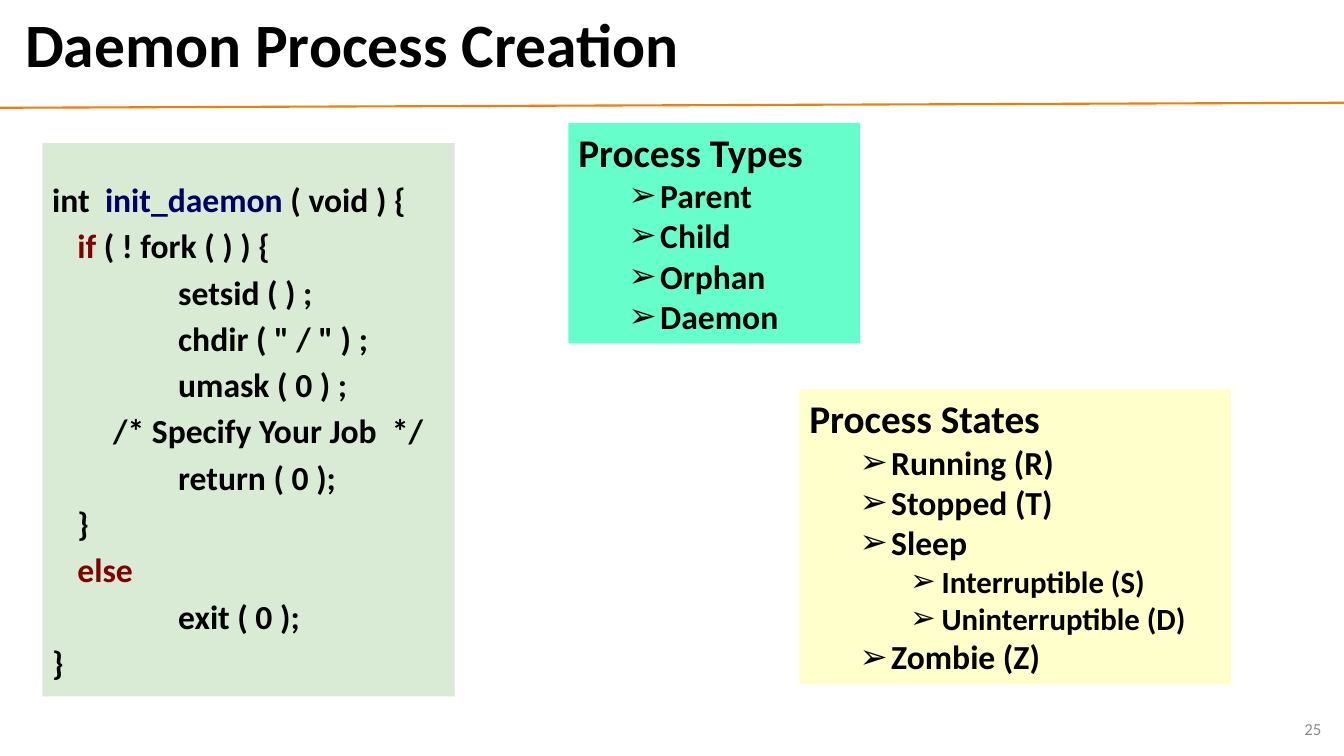
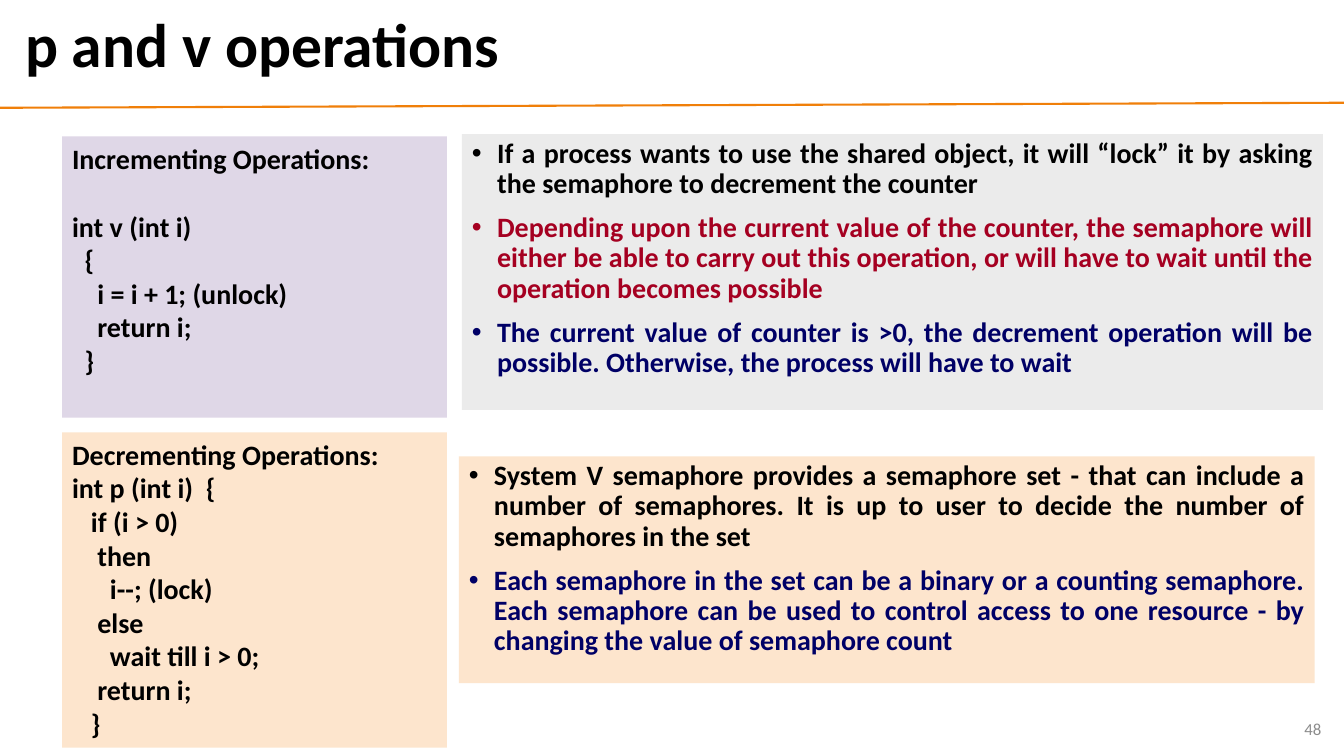
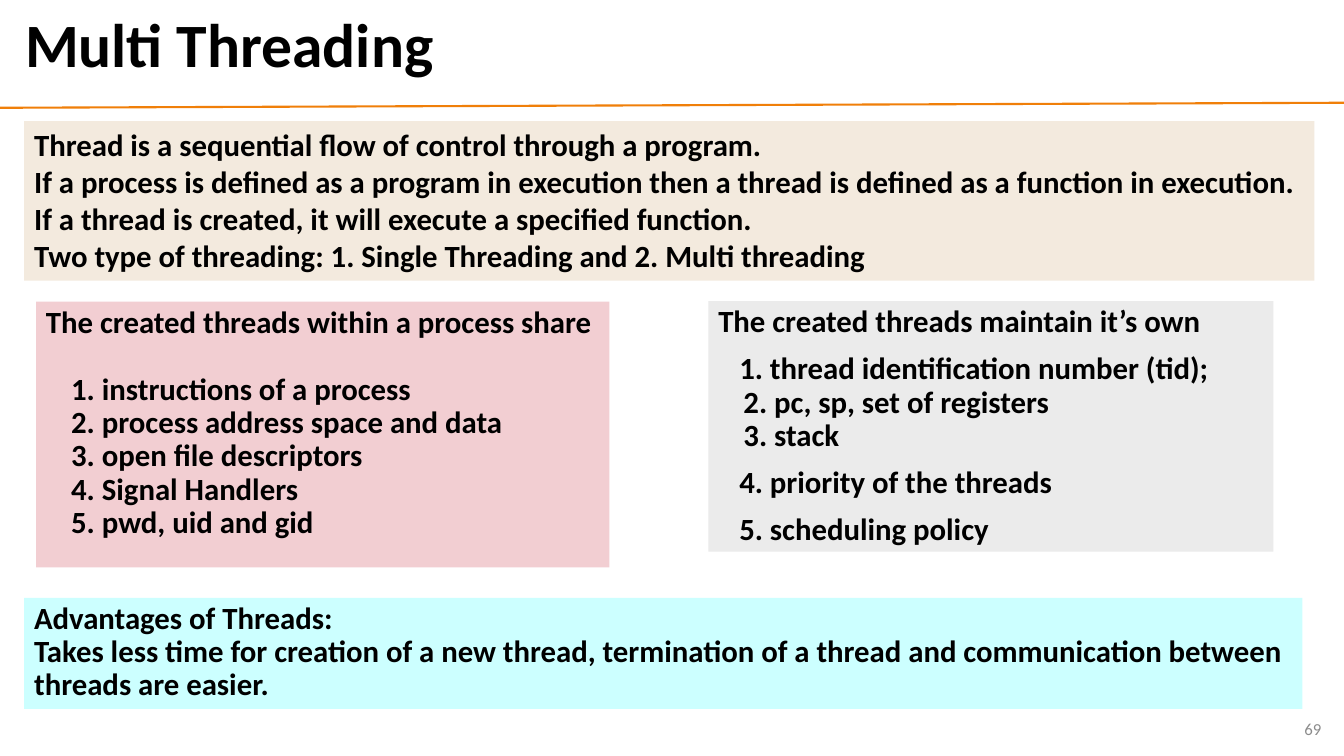
from dataclasses import dataclass
from functools import partial

from lxml.etree import SubElement
from pptx import Presentation
from pptx.dml.color import RGBColor as RGB
from pptx.enum.shapes import MSO_CONNECTOR as CONN, MSO_SHAPE as SHAPE
from pptx.enum.text import MSO_ANCHOR as ANCHOR, PP_ALIGN as ALIGN
from pptx.oxml.ns import qn
from pptx.util import Pt


# Theme: colours and type sizes
@dataclass(frozen=True)
class Theme:
    font: str = "Calibri"
    black: str = "000000"
    navy: str = "000066"
    maroon: str = "800000"
    crimson: str = "A50021"
    orange: str = "F07F09"
    number: str = "8C8C8C"
    green: str = "D9EAD5"
    mint: str = "66FFCC"
    yellow: str = "FFFFCC"
    lilac: str = "DFD7E7"
    gray: str = "EBEBEB"
    peach: str = "FDE5CD"
    sand: str = "F3EADE"
    pink: str = "F2CED2"
    cyan: str = "CCFFFF"
    title_size: int = 44
    heading_size: int = 28
    large: int = 24
    medium: int = 22
    small: int = 20
    number_size: int = 12


T = Theme()


@dataclass
class Para:
    """One paragraph; text is a string or a list of (text, colour) runs."""
    text: object
    size: float
    color: str = T.black
    bold: bool = True
    level: int = 0
    left: float = 0
    hang: float = 0
    bullet: str = ""
    before: float = 0
    after: float = 0
    spacing: float = 1.0
    align: object = ALIGN.LEFT


class Deck:
    def __init__(self, theme):
        self.theme = theme
        self.prs = Presentation()
        self.prs.slide_width, self.prs.slide_height = Pt(960), Pt(540)
        self.slide = None

    # Shared frame: rule, title and page number
    def new_slide(self, title, number):
        t = self.theme
        self.slide = self.prs.slides.add_slide(self.prs.slide_layouts[6])
        self.rule(0, 77, 960, 73.4)
        self.label((10.8, 3.6, 928, 60),
                   Para(title, t.title_size, spacing=0.9))
        self.label((735, 506, 216, 29),
                   Para(str(number), t.number_size, t.number, bold=False,
                        align=ALIGN.RIGHT))

    def rule(self, x1, y1, x2, y2):
        ln = self.slide.shapes.add_connector(
            CONN.STRAIGHT, Pt(x1), Pt(y1), Pt(x2), Pt(y2))
        ln.line.color.rgb = RGB.from_string(self.theme.orange)
        ln.line.width = Pt(1.5)
        SubElement(ln._element.spPr, qn("a:effectLst"))

    def label(self, at, para):
        sp = self.slide.shapes.add_textbox(*map(Pt, at))
        self.add_paras(sp.text_frame, [para], ANCHOR.MIDDLE)

    def box(self, at, fill, paras, top=3.6):
        sp = self.slide.shapes.add_shape(SHAPE.RECTANGLE, *map(Pt, at))
        sp.shadow.inherit = False
        sp.fill.solid()
        sp.fill.fore_color.rgb = RGB.from_string(fill)
        sp.line.fill.background()
        sp.text_frame.margin_top = Pt(top)
        self.add_paras(sp.text_frame, paras, ANCHOR.TOP)

    # Text
    def add_paras(self, tf, paras, anchor):
        tf.word_wrap = True
        tf.vertical_anchor = anchor
        for i, para in enumerate(paras):
            p = tf.add_paragraph() if i else tf.paragraphs[0]
            self.style_para(p, para, para.before if i else 0)
            runs = para.text
            if isinstance(runs, str):
                runs = [(runs, para.color)]
            for text, color in runs:
                r = p.add_run()
                r.text = text
                r.font.name = self.theme.font
                r.font.size = Pt(para.size)
                r.font.bold = para.bold
                r.font.color.rgb = RGB.from_string(color)

    def style_para(self, p, para, before):
        pPr = p._p.get_or_add_pPr()
        pPr.set("marL", str(Pt(para.left)))
        pPr.set("indent", str(Pt(-para.hang)))
        if para.bullet:
            SubElement(pPr, qn("a:buFont"), typeface="Arial")
            SubElement(pPr, qn("a:buChar"), char=para.bullet)
        else:
            SubElement(pPr, qn("a:buNone"))
        p.level = para.level
        p.alignment = para.align
        p.line_spacing = para.spacing
        p.space_before = Pt(before)
        p.space_after = Pt(para.after)


def outline(heading, items):
    """Heading followed by arrow bullets given as (level, text)."""
    paras = [Para(heading, T.heading_size)]
    for level, text in items:
        paras.append(Para(text, T.large if level == 1 else T.medium,
                          level=level, left=22.5 + 36 * level, hang=22.5,
                          bullet="➢"))
    return paras


def bullets(items):
    """Justified round bullets given as (text, colour)."""
    return [Para(text, T.small, color, left=18, hang=18, bullet="•",
                 before=10, spacing=0.9, align=ALIGN.JUSTIFY)
            for text, color in items]


def daemon_slide(deck):
    deck.new_slide("Daemon Process Creation", 25)
    line = partial(Para, size=T.large, before=10, spacing=0.8)
    block, body = 18, 90
    deck.box((30.2, 102.2, 294.5, 395.3), T.green, [
        line([("int  ", T.black), ("init_daemon", T.navy),
              (" ( void ) {", T.black)]),
        line([("if", T.maroon), (" ( ! fork ( ) ) {", T.black)], left=block),
        line("setsid ( ) ;", left=body),
        line('chdir ( " / " ) ;', left=body),
        line("umask ( 0 ) ;", left=body),
        line("/* Specify Your Job  */", left=43.5),
        line("return ( 0 );", left=body),
        line("}", left=block),
        line("else", color=T.maroon, left=block),
        line("exit ( 0 );", left=body),
        line("}"),
    ], top=31.2)
    deck.box((406, 87.8, 208.5, 157.5), T.mint, outline("Process Types", [
        (1, "Parent"), (1, "Child"), (1, "Orphan"), (1, "Daemon")]))
    deck.box((571, 278.2, 308.2, 210.6), T.yellow, outline("Process States", [
        (1, "Running (R)"), (1, "Stopped (T)"), (1, "Sleep"),
        (2, "Interruptible (S)"), (2, "Uninterruptible (D)"),
        (1, "Zombie (Z)")]))


def semaphore_slide(deck):
    deck.new_slide("p and v operations", 48)
    line = partial(Para, size=T.small)
    # Code
    deck.box((44.4, 97.4, 274.8, 201), T.lilac, [
        line("Incrementing Operations:", after=24.4),
        *map(line, ["int v (int i)", "  {", "    i = i + 1; (unlock)",
                    "    return i;", "  }"])])
    deck.box((44.4, 308.8, 274.8, 225.2), T.peach, map(line, [
        "Decrementing Operations:", "int p (int i)  {", "   if (i > 0)",
        "    then", "      i--; (lock)", "    else",
        "      wait till i > 0;", "    return i;", "   }"]))
    # Explanations
    deck.box((330, 95.8, 615, 197), T.gray, bullets([
        ("If a process wants to use the shared object, it will “lock” it by "
         "asking the semaphore to decrement the counter", T.black),
        ("Depending upon the current value of the counter, the semaphore "
         "will either be able to carry out this operation, or will have to "
         "wait until the operation becomes possible", T.crimson),
        ("The current value of counter is >0, the decrement operation will "
         "be possible. Otherwise, the process will have to wait", T.navy)]))
    deck.box((327.8, 326, 611.2, 162), T.peach, bullets([
        ("System V semaphore provides a semaphore set - that can include a "
         "number of semaphores. It is up to user to decide the number of "
         "semaphores in the set", T.black),
        ("Each semaphore in the set can be a binary or a counting semaphore. "
         "Each semaphore can be used to control access to one resource - by "
         "changing the value of semaphore count", T.navy)]))


def threading_slide(deck):
    deck.new_slide("Multi Threading", 69)
    line = partial(Para, size=T.medium)
    tight = partial(line, spacing=0.9)
    item = partial(tight, left=18)
    spaced = partial(tight, left=15, before=10)
    deck.box((17.3, 86.6, 921.6, 113.8), T.sand, map(line, [
        "Thread is a sequential flow of control through a program.",
        "If a process is defined as a program in execution then a thread is "
        "defined as a function in execution.",
        "If a thread is created, it will execute a specified function.",
        "Two type of threading: 1. Single Threading and 2. Multi threading"]))
    # Shared and private parts
    deck.box((25.8, 215.5, 409.5, 189.8), T.pink, [
        tight("The created threads within a process share", after=24.2),
        *map(item, ["1. instructions of a process",
                    "2. process address space and data",
                    "3. open file descriptors", "4. Signal Handlers",
                    "5. pwd, uid and gid"])])
    deck.box((506, 215, 403.6, 179), T.gray, [
        tight("The created threads maintain it’s own"),
        spaced("1. thread identification number (tid);"),
        item("2. pc, sp, set of registers"),
        item("3. stack"),
        spaced("4. priority of the threads"),
        spaced("5. scheduling policy")])
    deck.box((17.3, 427, 913, 79.4), T.cyan, map(tight, [
        "Advantages of Threads:",
        "Takes less time for creation of a new thread, termination of a "
        "thread and communication between threads are easier."]))


def main():
    deck = Deck(T)
    daemon_slide(deck)
    semaphore_slide(deck)
    threading_slide(deck)
    deck.prs.save("out.pptx")


if __name__ == "__main__":
    main()
